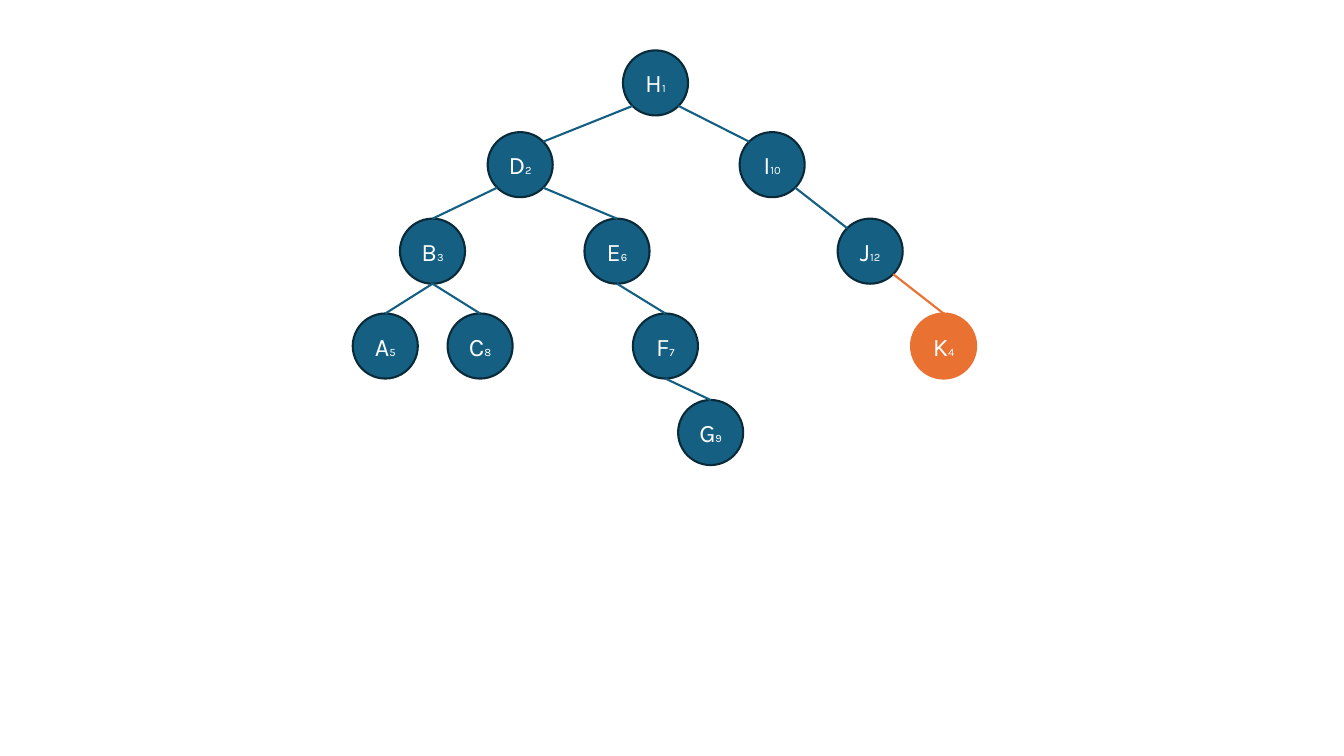
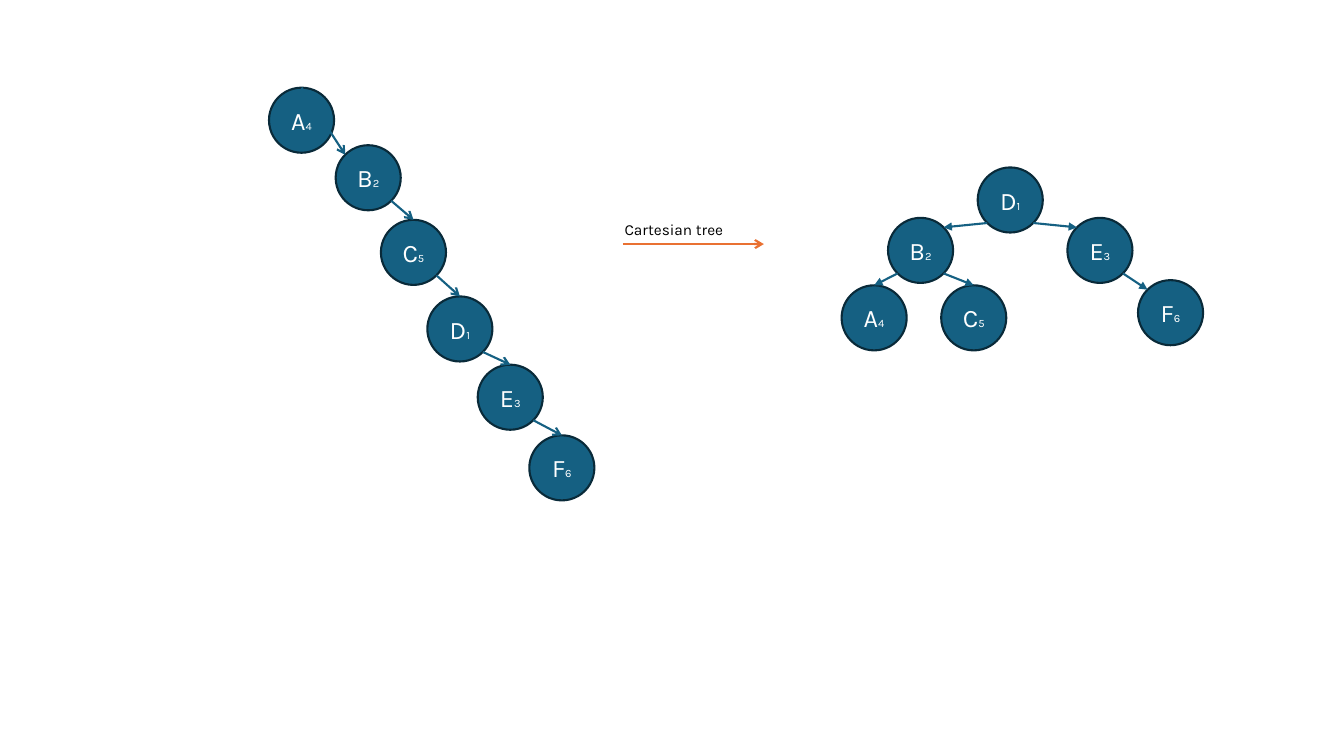
"""Build two slides of treap and Cartesian tree diagrams."""
from dataclasses import dataclass
from math import cos, radians, sin

from lxml.etree import SubElement
from pptx import Presentation
from pptx.dml.color import RGBColor
from pptx.enum.shapes import MSO_CONNECTOR, MSO_SHAPE
from pptx.enum.text import MSO_ANCHOR, PP_ALIGN
from pptx.oxml.ns import qn
from pptx.util import Cm, Pt


@dataclass(frozen=True)
class Theme:
    """Colours, type sizes and measures shared by the slides."""
    font: str = "Karla"
    node: RGBColor = RGBColor(0x15, 0x60, 0x82)
    outline: RGBColor = RGBColor(0x09, 0x2A, 0x39)
    accent: RGBColor = RGBColor(0xE9, 0x71, 0x32)
    light: RGBColor = RGBColor(0xFF, 0xFF, 0xFF)
    dark: RGBColor = RGBColor(0x00, 0x00, 0x00)
    key_size: Pt = Pt(18)
    priority_size: Pt = Pt(8)
    label_size: Pt = Pt(11)
    line_width: Pt = Pt(1.5)
    diameter: float = 1.64


THEME = Theme()

SITES = {
    "top": (0, 270),
    "top left": (1, 225),
    "bottom left": (3, 135),
    "bottom": (4, 90),
    "bottom right": (5, 45),
    "top right": (7, 315),
}

ROWS = (1.27, 3.33, 5.51, 7.9, 10.08)
TREAP_NODES = {
    "H": (1, 15.7, ROWS[0]),
    "D": (2, 12.29, ROWS[1]),
    "I": (10, 18.64, ROWS[1]),
    "B": (3, 10.08, ROWS[2]),
    "E": (6, 14.73, ROWS[2]),
    "J": (12, 21.11, ROWS[2]),
    "A": (5, 8.89, ROWS[3]),
    "C": (8, 11.28, ROWS[3]),
    "F": (7, 15.95, ROWS[3]),
    "K": (4, 22.96, ROWS[3]),
    "G": (9, 17.09, ROWS[4]),
}
TREAP_EDGES = (
    ("H", "bottom left", "D", "top right"),
    ("H", "bottom right", "I", "top left"),
    ("I", "bottom right", "J", "top left"),
    ("D", "bottom left", "B", "top"),
    ("D", "bottom right", "E", "top"),
    ("B", "bottom", "A", "top"),
    ("B", "bottom", "C", "top"),
    ("E", "bottom", "F", "top"),
    ("F", "bottom", "G", "top"),
    ("J", "bottom right", "K", "top"),
)

CHAIN_NODES = {
    "A": (4, 6.78, 2.21),
    "B": (2, 8.46, 3.66),
    "C": (5, 9.6, 5.54),
    "D": (1, 10.77, 7.47),
    "E": (3, 12.04, 9.19),
    "F": (6, 13.34, 10.97),
}
CHAIN_EDGES = (
    ("A", "top", "B", "top left"),
    *((first, "bottom right", second, "top") for first, second in zip("BCDE", "CDEF")),
)

CARTESIAN_NODES = {
    "D": (1, 24.64, 4.22),
    "B": (2, 22.38, 5.49),
    "E": (3, 26.9, 5.49),
    "A": (4, 21.21, 7.19),
    "C": (5, 23.72, 7.19),
    "F": (6, 28.68, 7.06),
}
CARTESIAN_EDGES = (
    ("D", "bottom left", "B", "top right"),
    ("D", "bottom right", "E", "top left"),
    ("B", "bottom left", "A", "top"),
    ("B", "bottom right", "C", "top"),
    ("E", "bottom right", "F", "top left"),
)


def apply_format(target, values):
    """Set each named attribute of the target."""
    for name, value in values.items():
        setattr(target, name, value)


def add_span(para, text, size, color):
    """Append one formatted run of text."""
    span = para.add_run()
    span.text = text
    apply_format(span.font, {"name": THEME.font, "size": size})
    span.font.color.rgb = color


def add_node(shapes, key, priority, left, top, highlighted):
    """Draw a circle with its key and small priority."""
    circle = shapes.add_shape(
        MSO_SHAPE.OVAL, Cm(left), Cm(top), Cm(THEME.diameter), Cm(THEME.diameter))
    circle.shadow.inherit = False
    circle.fill.solid()
    circle.fill.fore_color.rgb = THEME.accent if highlighted else THEME.node
    circle.line.color.rgb = THEME.accent if highlighted else THEME.outline
    circle.line.width = THEME.line_width
    apply_format(circle.text_frame, {
        "word_wrap": False, "vertical_anchor": MSO_ANCHOR.MIDDLE,
        "margin_left": 0, "margin_right": 0, "margin_top": 0, "margin_bottom": 0,
    })
    para = circle.text_frame.paragraphs[0]
    para.alignment = PP_ALIGN.CENTER
    add_span(para, key, THEME.key_size, THEME.light)
    add_span(para, str(priority), THEME.priority_size, THEME.light)
    return circle


def add_line(shapes, start, end, color, arrowhead=None):
    """Draw a straight connector with an optional arrowhead at its end."""
    line = shapes.add_connector(MSO_CONNECTOR.STRAIGHT, *start, *end)
    line.line.color.rgb = color
    line.line.width = THEME.line_width
    if arrowhead:
        SubElement(line.line._get_or_add_ln(), qn("a:tailEnd"), type=arrowhead)
    SubElement(line.element.spPr, qn("a:effectLst"))
    return line


def site_point(circle, site):
    """Return the point of a circle's named connection site."""
    angle = radians(SITES[site][1])
    radius = circle.width / 2
    return (round(circle.left + radius * (1 + cos(angle))),
            round(circle.top + radius * (1 + sin(angle))))


def add_edge(shapes, parent, parent_site, child, child_site, color, arrowhead):
    """Join two circles with a connector glued to their sites."""
    line = add_line(shapes, site_point(parent, parent_site),
                    site_point(child, child_site), color, arrowhead)
    glue = line.element.nvCxnSpPr.cNvCxnSpPr
    ends = (("a:stCxn", parent, parent_site), ("a:endCxn", child, child_site))
    for tag, circle, site in ends:
        SubElement(glue, qn(tag), id=str(circle.shape_id), idx=str(SITES[site][0]))


def add_tree(page, nodes, edges, arrowhead=None, highlight=None):
    """Draw a grouped tree of nodes and edges."""
    shapes = page.shapes.add_group_shape().shapes
    circles = {key: add_node(shapes, key, *place, key == highlight)
               for key, place in nodes.items()}
    for parent, parent_site, child, child_site in edges:
        color = THEME.accent if child == highlight else THEME.node
        add_edge(shapes, circles[parent], parent_site,
                 circles[child], child_site, color, arrowhead)


def add_labelled_arrow(page, text):
    """Draw the accent arrow with its label above."""
    shapes = page.shapes.add_group_shape().shapes
    add_line(shapes, (Cm(15.7), Cm(6.15)), (Cm(19.25), Cm(6.15)), THEME.accent, "arrow")
    box = shapes.add_textbox(Cm(15.49), Cm(5.41), Cm(5.13), Cm(0.74))
    box.text_frame.word_wrap = True
    add_span(box.text_frame.paragraphs[0], text, THEME.label_size, THEME.dark)


def main():
    """Build and save the deck."""
    deck = Presentation()
    apply_format(deck, {"slide_width": Cm(33.87), "slide_height": Cm(19.05)})
    blank = deck.slide_layouts[6]

    page = deck.slides.add_slide(blank)
    add_tree(page, TREAP_NODES, TREAP_EDGES, highlight="K")

    page = deck.slides.add_slide(blank)
    add_tree(page, CHAIN_NODES, CHAIN_EDGES, "arrow")
    add_tree(page, CARTESIAN_NODES, CARTESIAN_EDGES, "triangle")
    add_labelled_arrow(page, "Cartesian tree")

    deck.save("out.pptx")


if __name__ == "__main__":
    main()
